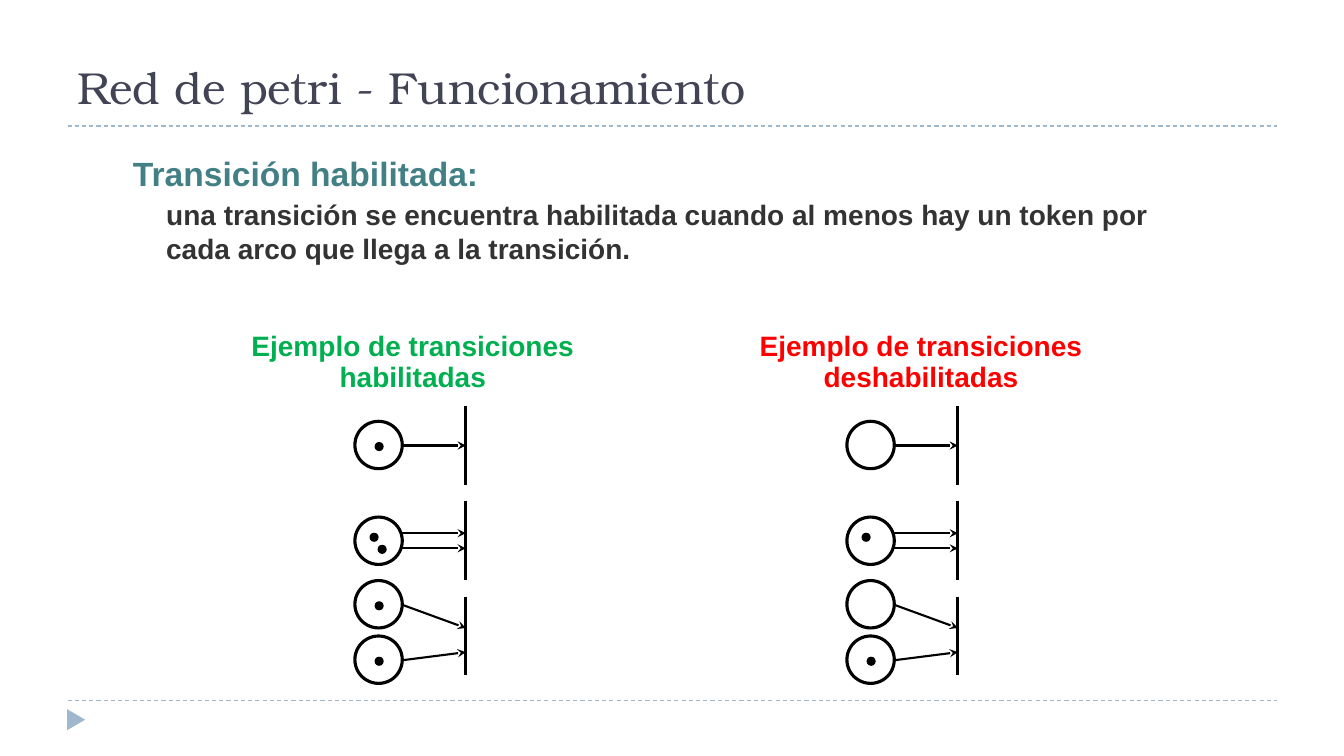
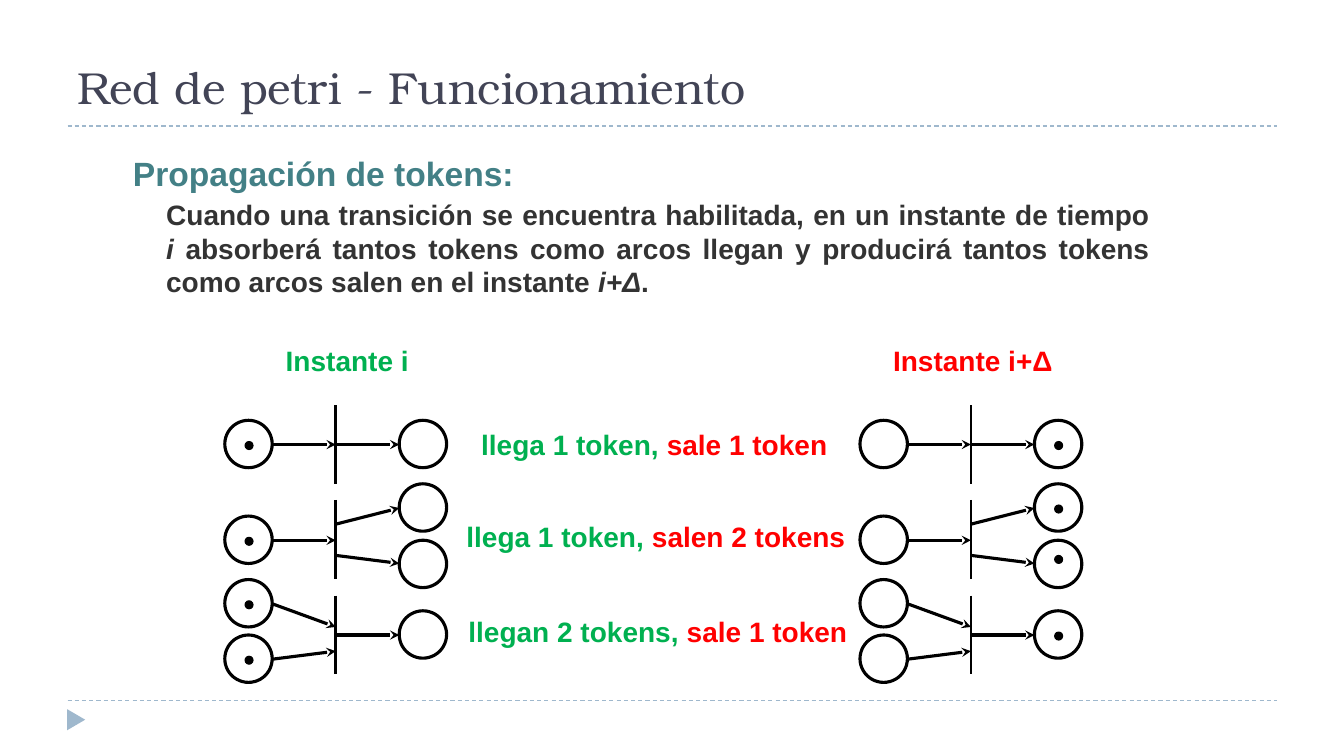
from lxml import etree
from pptx import Presentation
from pptx.dml.color import RGBColor
from pptx.enum import dml, shapes, text
from pptx.oxml import ns
from pptx.util import Pt

PX = 9144
SANS = "Arial"
SERIF = "TeX Gyre Bonum"
BLACK = RGBColor(0, 0, 0)
SLATE = RGBColor(0x42, 0x44, 0x56)
TEAL = RGBColor(0x43, 0x80, 0x86)
GRAY = RGBColor(0x33, 0x33, 0x33)
BLUE = RGBColor(0x9F, 0xB8, 0xCD)
GREEN = RGBColor(0, 0xB0, 0x50)
RED = RGBColor(0xFF, 0, 0)

SIZE = 47
DOT = 8
BAR = 110
OUT = 173
MID = (20, 21)
HIGH = (20, 15)
PAIR = ((15, 16), (23, 28))
ONE = (MID,)
NONE = ()
BARS = (403, 497, 592)
INS = (418, 513, 576, 631)
OUTS = (418, 481, 537, 607)
MERGE = ((600, 623), (655, 647))
TWIN = ((442, 442), (529, 529), (544, 544)) + MERGE
LONE = ((442, 442), (537, 537)) + MERGE
FORK = ((442, 442), (521, 505), (552, 560), (631, 631))


def scale(*nums):
    return [round(num * PX) for num in nums]


def apply(item, attrs):
    for name, value in attrs.items():
        setattr(item, name, value)


def add_line(page, ends, color, width, dash=None, arrow=False):
    line = page.shapes.add_connector(shapes.MSO_CONNECTOR.STRAIGHT, *scale(*ends))
    line.line.color.rgb = color
    line.line.width = Pt(width)
    if dash:
        line.line.dash_style = dash
    if arrow:
        pen = line.line._get_or_add_ln()
        etree.SubElement(pen, ns.qn("a:tailEnd"), type="stealth")
    etree.SubElement(line._element.spPr, ns.qn("a:effectLst"))


def add_form(page, kind, box, fill=None, width=0):
    form = page.shapes.add_shape(kind, *scale(*box))
    form.shadow.inherit = False
    if fill is None:
        form.fill.background()
    else:
        form.fill.solid()
        form.fill.fore_color.rgb = fill
    if width:
        form.line.color.rgb = BLACK
        form.line.width = Pt(width)
    else:
        form.line.fill.background()
    return form


def add_text(page, box, wrap=True, anchor=text.MSO_ANCHOR.TOP):
    frame = page.shapes.add_textbox(*scale(*box)).text_frame
    apply(frame, {"word_wrap": wrap, "vertical_anchor": anchor})
    return frame


def add_para(frame, first, runs, attrs, margin=0, indent=0):
    para = frame.paragraphs[0] if first else frame.add_paragraph()
    apply(para, attrs)
    props = para._p.get_or_add_pPr()
    props.set("marL", str(margin * PX))
    props.set("indent", str(indent * PX))
    for words, color, style in runs:
        run = para.add_run()
        run.text = words
        run.font.color.rgb = color
        apply(run.font, {"name": SANS, "size": Pt(20), "bold": True, **style})


def add_label(page, box, lines):
    frame = add_text(page, box, wrap=False)
    attrs = {"alignment": text.PP_ALIGN.CENTER, "line_spacing": 0.93}
    for num, runs in enumerate(lines):
        add_para(frame, num == 0, [(words, color, {}) for words, color in runs], attrs)


def add_body(page, head, runs, align):
    frame = add_text(page, (111, 147, 1040, 150))
    add_para(frame, True, [(head, TEAL, {"size": Pt(24)})], {}, 39, -28)
    add_para(frame, False, [(words, GRAY, {"italic": slant}) for words, slant in runs],
             {"alignment": align, "space_before": Pt(3)}, 44)


def add_place(page, left, top, spots):
    oval = shapes.MSO_SHAPE.OVAL
    add_form(page, oval, (left, top, SIZE, SIZE), width=2.25)
    for across, down in spots:
        add_form(page, oval, (left + across, top + down, DOT, DOT), BLACK, 0.75)


def add_net(page, left, top, arcs, width, spots, exits=(), marks=()):
    for bar in BARS:
        add_line(page, (left + BAR, top + bar, left + BAR, top + bar + 78), BLACK, 2)
    for start, end, pairs in ((SIZE, BAR, arcs), (BAR, OUT, exits)):
        for high, low in pairs:
            add_line(page, (left + start, top + high, left + end, top + low),
                     BLACK, width, arrow=True)
    for shift, rows, tokens in ((0, INS, spots), (OUT, OUTS, marks)):
        for row, token in zip(rows, tokens):
            add_place(page, left + shift, top + row, token)


def add_page(deck):
    page = deck.slides.add_slide(deck.slide_layouts[6])
    for row in (695, 125):
        add_line(page, (67, row, 1267, row), BLUE, 0.75, dml.MSO_LINE.DASH)
    mark = add_form(page, shapes.MSO_SHAPE.ISOSCELES_TRIANGLE, (65, 705, 21, 18), BLUE)
    mark.rotation = 90
    frame = add_text(page, (67, 47, 1200, 78), anchor=text.MSO_ANCHOR.MIDDLE)
    style = {"name": SERIF, "size": Pt(32), "bold": False}
    add_para(frame, True, [("Red de petri - Funcionamiento", SLATE, style)], {})
    return page


def add_enabled(deck):
    page = add_page(deck)
    add_body(page, "Transición habilitada:",
             [("una transición se encuentra habilitada cuando al menos hay un token "
               "por cada arco que llega a la transición.", False)],
             text.PP_ALIGN.LEFT)
    sides = (
        (238, 352, "habilitadas", GREEN, (ONE, PAIR, ONE, ONE)),
        (742, 840, "deshabilitadas", RED, (NONE, PAIR[:1], NONE, ONE)),
    )
    for place, left, word, color, spots in sides:
        add_label(page, (place, 324, 343, 73),
                  [[("Ejemplo de transiciones", color)], [(word, color)]])
        add_net(page, left, 0, TWIN, 1.5, spots)


def add_flow(deck):
    page = add_page(deck)
    add_body(page, "Propagación de tokens:",
             [("Cuando una transición se encuentra habilitada, en un instante de tiempo ", False),
              ("i", True),
              (" absorberá tantos tokens como arcos llegan y producirá tantos tokens "
               "como arcos salen en el instante ", False),
              ("i+Δ", True), (".", False)],
             text.PP_ALIGN.JUSTIFY)
    sides = (
        (273, 143, 223, "Instante i", GREEN, (ONE,) * 4, (NONE,) * 4),
        (875, 180, 853, "Instante i+Δ", RED, (NONE,) * 4, (ONE, ONE, (HIGH,), ONE)),
    )
    for place, width, left, word, color, spots, marks in sides:
        add_label(page, (place, 339, width, 41), [[(word, color)]])
        add_net(page, left, -1, LONE, 2.25, spots, FORK, marks)
    notes = (
        (466, 422, 366, "llega 1 token, ", "sale 1 token"),
        (451, 513, 399, "llega 1 token, ", "salen 2 tokens"),
        (453, 608, 399, "llegan 2 tokens, ", "sale 1 token"),
    )
    for left, top, width, come, leave in notes:
        add_label(page, (left, top, width, 41), [[(come, GREEN), (leave, RED)]])


def main():
    deck = Presentation()
    deck.slide_width, deck.slide_height = scale(1333, 750)
    add_enabled(deck)
    add_flow(deck)
    deck.save("out.pptx")


if __name__ == "__main__":
    main()
